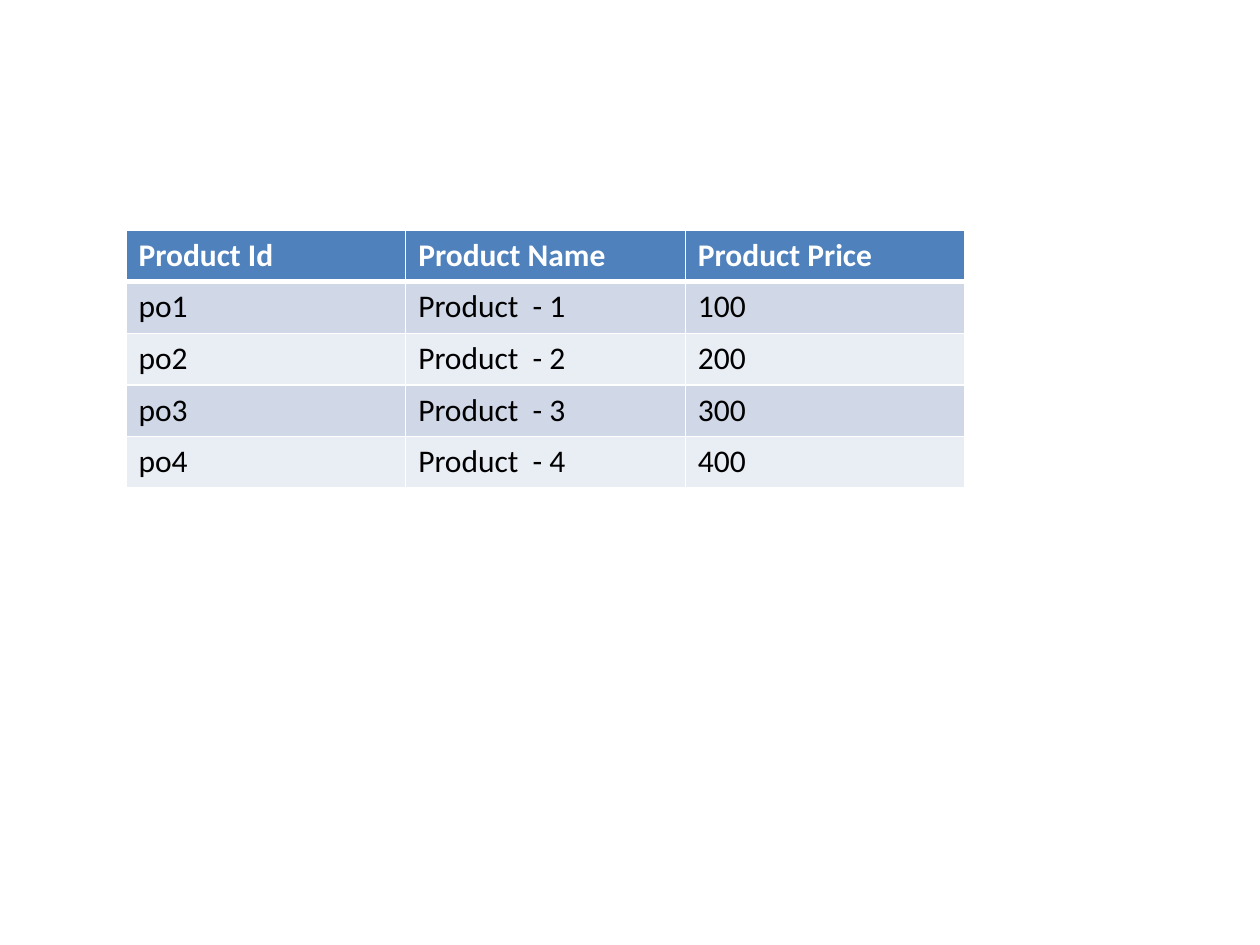
from typing import NamedTuple

from lxml.etree import SubElement
from pptx import Presentation
from pptx.dml.color import RGBColor as Rgb
from pptx.oxml.ns import qn
from pptx.util import Inches, Pt

COLORS = {
    "header": "4F81BD",
    "odd": "D0D8E8",
    "even": "E9EDF4",
    "border": "FFFFFF",
    "header_text": "FFFFFF",
    "body_text": "000000",
}
FONT = "Calibri"
COLUMN_WIDTH = 2.22
HEADER_HEIGHT = 0.4
ROW_HEIGHT = 0.41


class Product(NamedTuple):
    id: str
    name: str
    price: str


class RowStyle(NamedTuple):
    fill: str
    text: str
    bold: bool
    bottom_border: float


HEADER = Product("Product Id ", "Product Name ", "Product Price")
PRODUCTS = [Product(f"po{n}", f"Product  - {n}", str(n * 100)) for n in range(1, 5)]
HEADER_STYLE = RowStyle("header", "header_text", True, 3)
BODY_STYLES = [
    RowStyle("even", "body_text", False, 1),
    RowStyle("odd", "body_text", False, 1),
]


def add_border(cell, side: str, width: float) -> None:
    properties = cell._tc.get_or_add_tcPr()
    line = SubElement(properties, qn(f"a:ln{side}"), w=str(Pt(width)))
    fill = SubElement(line, qn("a:solidFill"))
    SubElement(fill, qn("a:srgbClr"), val=COLORS["border"])


def fill_cell(cell, text: str, style: RowStyle, top_border: float) -> None:
    borders = {"L": 1, "R": 1, "T": top_border, "B": style.bottom_border}
    for side, width in borders.items():
        add_border(cell, side, width)
    cell.fill.solid()
    cell.fill.fore_color.rgb = Rgb.from_string(COLORS[style.fill])
    cell.text_frame.text = text
    font = cell.text_frame.paragraphs[0].runs[0].font
    font.name = FONT
    font.size = Pt(18)
    font.bold = style.bold
    font.color.rgb = Rgb.from_string(COLORS[style.text])


def add_products(slide, products: list[Product]) -> None:
    records = [HEADER, *products]
    columns = len(HEADER)
    height = HEADER_HEIGHT + ROW_HEIGHT * len(products)
    table = slide.shapes.add_table(
        len(records), columns, Inches(1), Inches(1.83),
        Inches(COLUMN_WIDTH * columns), Inches(height),
    ).table
    for column in table.columns:
        column.width = Inches(COLUMN_WIDTH)
    for index, record in enumerate(records):
        table.rows[index].height = Inches(ROW_HEIGHT if index else HEADER_HEIGHT)
        style = BODY_STYLES[index % 2] if index else HEADER_STYLE
        top_border = HEADER_STYLE.bottom_border if index == 1 else 1
        for column, text in enumerate(record):
            fill_cell(table.cell(index, column), text, style, top_border)


deck = Presentation()
deck.slide_width = Inches(10)
deck.slide_height = Inches(7.5)
product_slide = deck.slides.add_slide(deck.slide_layouts[6])
add_products(product_slide, PRODUCTS)
deck.save("out.pptx")
